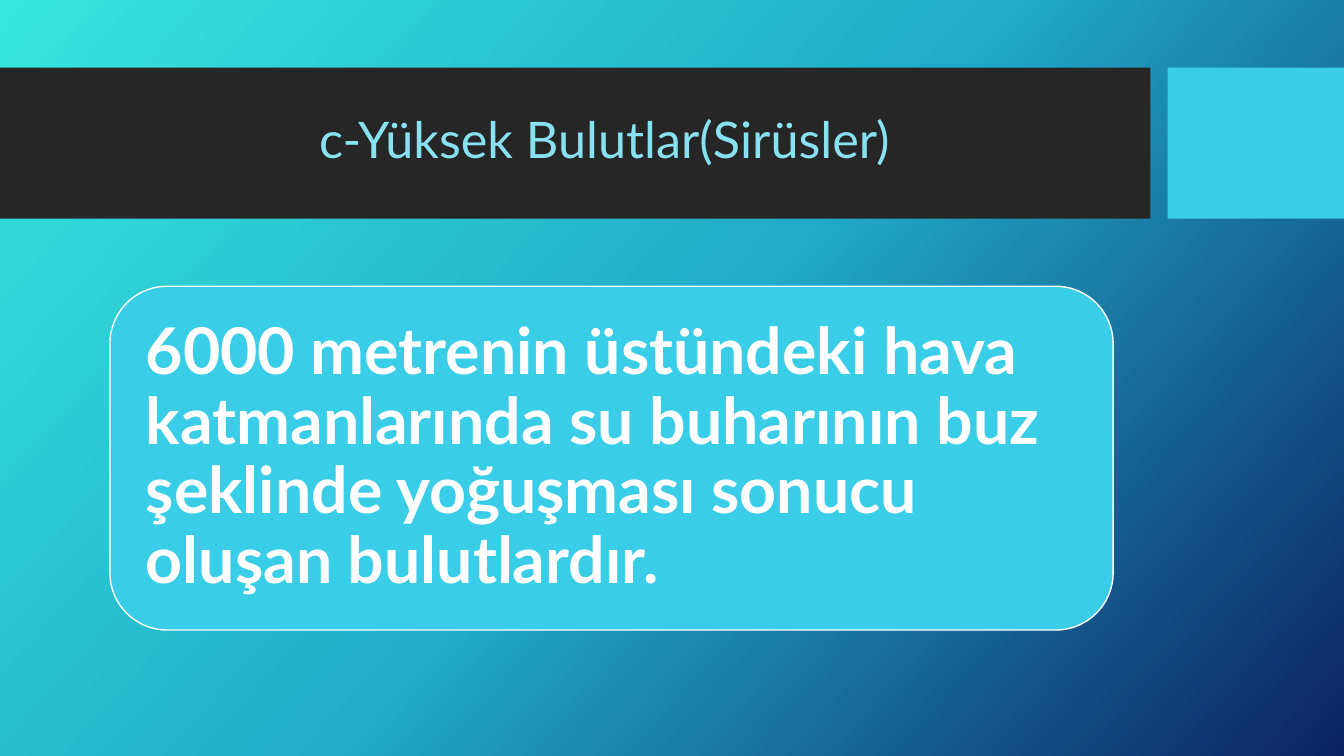
from copy import deepcopy

from pptx import Presentation
from pptx.dml.color import RGBColor
from pptx.enum.shapes import MSO_SHAPE as SHAPE
from pptx.enum.text import MSO_ANCHOR as ANCHOR, PP_ALIGN as ALIGN
from pptx.oxml.ns import qn
from pptx.util import Inches, Pt

CYAN = "39CDE7"
WHITE = "FFFFFF"


def rgb(value):
    return RGBColor.from_string(value)


def add_panel(kind, left, top, width, height, color):
    sp = s.shapes.add_shape(kind, Inches(left), Inches(top), Inches(width), Inches(height))
    sp.shadow.inherit = False
    sp.fill.solid()
    sp.fill.fore_color.rgb = rgb(color)
    sp.line.fill.background()
    return sp


prs = Presentation()
prs.slide_width, prs.slide_height = Inches(13.33), Inches(7.5)
s = prs.slides.add_slide(prs.slide_layouts[5])

# Background: three-stop gradient running down to the right
fill = s.background.fill
fill.gradient()
fill.gradient_angle = 360 - 42
stop_list = next(s.background._cSld.iter(qn("a:gsLst")))
stop_list.append(deepcopy(stop_list[-1]))
stops = [(0, "36E6DD"), (0.5, "21ABC8"), (1, "0C2263")]
for stop, (position, color) in zip(fill.gradient_stops, stops):
    stop.position = position
    stop.color.rgb = rgb(color)

# Title band and accent block
add_panel(SHAPE.RECTANGLE, 0, 0.67, 11.41, 1.5, "262626")
add_panel(SHAPE.RECTANGLE, 11.58, 0.67, 1.75, 1.5, CYAN)

# Title, brought in front of the band
title = s.shapes.title
s.shapes._spTree.append(title._element)
title.left, title.top = Inches(0.74), Inches(0.82)
title.width, title.height = Inches(10.51), Inches(1.18)
title.text_frame.text = "c-Yüksek Bulutlar(Sirüsler)"
title.text_frame.vertical_anchor = ANCHOR.MIDDLE

# Definition card
card = add_panel(SHAPE.ROUNDED_RECTANGLE, 1.09, 2.84, 9.95, 3.41, CYAN)
card.line.color.rgb = rgb(WHITE)
card.line.width = Pt(1)
tf = card.text_frame
tf.word_wrap = True
tf.vertical_anchor = ANCHOR.MIDDLE
tf.margin_left = tf.margin_right = tf.margin_top = tf.margin_bottom = Inches(0.19)
tf.text = (
    "6000 metrenin üstündeki hava katmanlarında su buharının buz "
    "şeklinde yoğuşması sonucu oluşan bulutlardır."
)

# Text formats
for sp, align, size, color, bold in [
    (title, ALIGN.CENTER, 36, "88E1F1", False),
    (card, ALIGN.LEFT, 46, WHITE, True),
]:
    p = sp.text_frame.paragraphs[0]
    p.alignment = align
    p.line_spacing = 0.9
    p.font.name = "Lato"
    p.font.size = Pt(size)
    p.font.bold = bold
    p.font.color.rgb = rgb(color)

prs.save("out.pptx")
